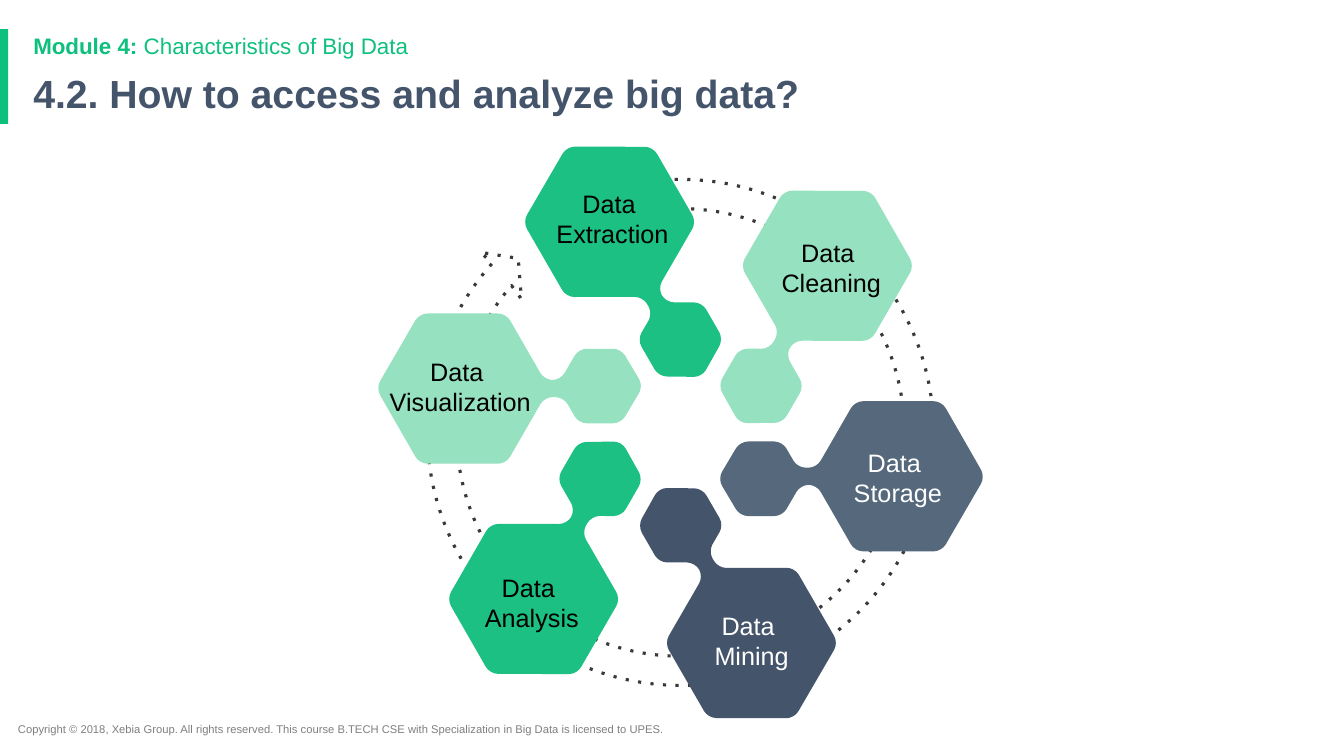
from dataclasses import dataclass
from math import cos, radians, sin, tan

from lxml.etree import SubElement
from pptx import Presentation
from pptx.dml.color import RGBColor
from pptx.enum.dml import MSO_LINE
from pptx.enum.shapes import MSO_SHAPE
from pptx.enum.text import MSO_ANCHOR, MSO_AUTO_SIZE, PP_ALIGN
from pptx.oxml.ns import qn
from pptx.util import Emu, Pt


@dataclass(frozen=True)
class Theme:
    font: str = "Arial"
    accent: str = "0EC07D"
    green: str = "1CC083"
    mint: str = "96E2C0"
    slate: str = "56687C"
    navy: str = "44546A"
    dots: str = "3A3838"
    gray: str = "7F7F7F"
    black: str = "000000"
    white: str = "FFFFFF"
    title_size: int = 28
    module_size: int = 16
    label_size: int = 18
    copyright_size: int = 8


THEME = Theme()
EMU_PER_PX = 9144
HUB = complex(675, 429)
CORNER_CUT = 8
RING_TILT = 8.1
RING_SEGMENTS = 5
PETAL = [
    complex(x, y)
    for x, y in [
        (135, 35), (173, -31), (259, -31), (302, 44), (259, 118), (173, 118), (135, 52),
        (119, 52), (101, 83), (59, 83), (37, 46), (59, 9), (101, 9), (116, 35),
    ]
]
STEPS = [
    ("Visualization", THEME.mint, THEME.black, 376, 355),
    ("Extraction", THEME.green, THEME.black, 527, 188),
    ("Cleaning", THEME.mint, THEME.black, 744, 237),
    ("Storage", THEME.slate, THEME.white, 810, 445),
    ("Mining", THEME.navy, THEME.white, 665, 607),
    ("Analysis", THEME.green, THEME.black, 447, 569),
]


def px(length):
    return Emu(round(length * EMU_PER_PX))


def color(value):
    return RGBColor.from_string(value)


def polar(radius, degrees):
    return radius * complex(cos(radians(degrees)), sin(radians(degrees)))


def petal_outline(turn):
    corners = [corner * turn for corner in PETAL]
    segments, frame = [], []
    for index, corner in enumerate(corners):
        neighbors = corners[index - 1], corners[(index + 1) % len(corners)]
        start, end = [
            corner + (neighbor - corner) * min(CORNER_CUT / abs(neighbor - corner), 0.5)
            for neighbor in neighbors
        ]
        first, second = [point + 0.57 * (corner - point) for point in (start, end)]
        segments += [(start,), (first, second, end)]
        frame += [start, (start + 3 * first + 3 * second + end) / 8, end]
    return segments, frame


def arc(radius, start, end):
    step = (end - start) / RING_SEGMENTS
    handle = 4j / 3 * tan(radians(step) / 4)
    segments = []
    for index in range(RING_SEGMENTS):
        first = polar(radius, start + index * step)
        last = polar(radius, start + (index + 1) * step)
        segments.append((first * (1 + handle), last * (1 - handle), last))
    return segments


def add_outline(slide, segments, frame, fill):
    vertices = [(px((HUB + point).real), px((HUB + point).imag)) for point in frame]
    builder = slide.shapes.build_freeform(*vertices[0], scale=1.0)
    builder.add_line_segments(vertices[1:], close=True)
    shape = builder.convert_to_shape()
    outline = shape.element.find(".//" + qn("a:path"))
    for child in list(outline):
        outline.remove(child)
    for index, points in enumerate(segments):
        tag = "a:cubicBezTo" if len(points) == 3 else "a:lnTo" if index else "a:moveTo"
        command = SubElement(outline, qn(tag))
        for point in points:
            spot = HUB + point
            SubElement(command, qn("a:pt"), x=str(px(spot.real) - shape.left),
                       y=str(px(spot.imag) - shape.top))
    SubElement(outline, qn("a:close"))
    finish_shape(shape, fill)
    return shape


def finish_shape(shape, fill):
    shape.shadow.inherit = False
    shape.fill.solid()
    shape.fill.fore_color.rgb = color(fill)
    shape.line.fill.background()


def add_ring(slide):
    start, end = RING_TILT - 97, RING_TILT + 222
    head = [(polar(radius, RING_TILT + degrees),)
            for radius, degrees in [(267, 222), (236, 227), (206, 220), (222, 221)]]
    segments = [(polar(251, start),), *arc(251, start, end), *head,
                *arc(222, end - 1, start)]
    frame = [267 * complex(x, y) for x, y in [(-1, -1), (1, -1), (1, 1), (-1, 1)]]
    ring = add_outline(slide, segments, frame, THEME.white)
    ring.rotation = -RING_TILT
    ring.line.color.rgb = color(THEME.dots)
    ring.line.width = Pt(2.25)
    ring.line.dash_style = MSO_LINE.ROUND_DOT
    ring.element.find(".//" + qn("a:prstDash")).set("val", "dot")


def place(shape, left, top, width, height):
    shape.left, shape.top, shape.width, shape.height = map(px, (left, top, width, height))


def set_text(shape, text, size, fill, bold=False, align=PP_ALIGN.LEFT, margins=(10, 5)):
    frame = shape.text_frame
    frame.word_wrap = True
    frame.auto_size = MSO_AUTO_SIZE.NONE
    frame.vertical_anchor = MSO_ANCHOR.MIDDLE
    frame.margin_left = frame.margin_right = px(margins[0])
    frame.margin_top = frame.margin_bottom = px(margins[1])
    paragraph = frame.paragraphs[0]
    paragraph.text = text
    paragraph.alignment = align
    for run in paragraph.runs:
        format_run(run, size, fill, bold)
    return paragraph


def format_run(run, size, fill, bold):
    run.font.name = THEME.font
    run.font.size = Pt(size)
    run.font.color.rgb = color(fill)
    run.font.bold = bold


def add_text(slide, box, text, size, fill, **options):
    shape = slide.shapes.add_textbox(*map(px, box))
    set_text(shape, text, size, fill, **options)


def fill_title(slide):
    title = slide.shapes.title
    place(title, 23, 68, 1150, 54)
    paragraph = set_text(title, "4.2. How to access and analyze big data?",
                         THEME.title_size, THEME.navy, bold=True)
    paragraph.line_spacing = 0.9


def fill_module(slide):
    module = slide.placeholders[1]
    place(module, 23, 30, 1150, 33)
    paragraph = set_text(module, "Module 4:", THEME.module_size, THEME.accent, bold=True)
    properties = paragraph._p.get_or_add_pPr()
    properties.set("marL", "0")
    properties.set("indent", "0")
    SubElement(properties, qn("a:buNone"))
    paragraph.line_spacing = 0.9
    paragraph.space_before = Pt(0)
    topic = paragraph.add_run()
    topic.text = " Characteristics of Big Data"
    format_run(topic, THEME.module_size, THEME.accent, False)


def add_accent_bar(slide):
    bar = slide.shapes.add_shape(MSO_SHAPE.RECTANGLE, *map(px, (0, 29, 8, 94)))
    finish_shape(bar, THEME.accent)


def main():
    presentation = Presentation()
    presentation.slide_width, presentation.slide_height = px(1333), px(750)
    slide = presentation.slides.add_slide(presentation.slide_layouts[1])
    fill_title(slide)
    fill_module(slide)
    add_accent_bar(slide)
    add_text(slide, (8, 711, 713, 24),
             "Copyright © 2018, Xebia Group. All rights reserved. This course B.TECH CSE "
             "with Specialization in Big Data is licensed to UPES.",
             THEME.copyright_size, THEME.gray)
    add_ring(slide)
    for index, (_, fill, _, _, _) in enumerate(STEPS):
        add_outline(slide, *petal_outline(polar(1, 180 + 60 * index)), fill)
    for name, _, text_color, left, top in STEPS:
        add_text(slide, (left, top, 161, 57), f"Data \v{name}", THEME.label_size,
                 text_color, align=PP_ALIGN.CENTER, margins=(0, 0))
    presentation.save("out.pptx")


if __name__ == "__main__":
    main()
